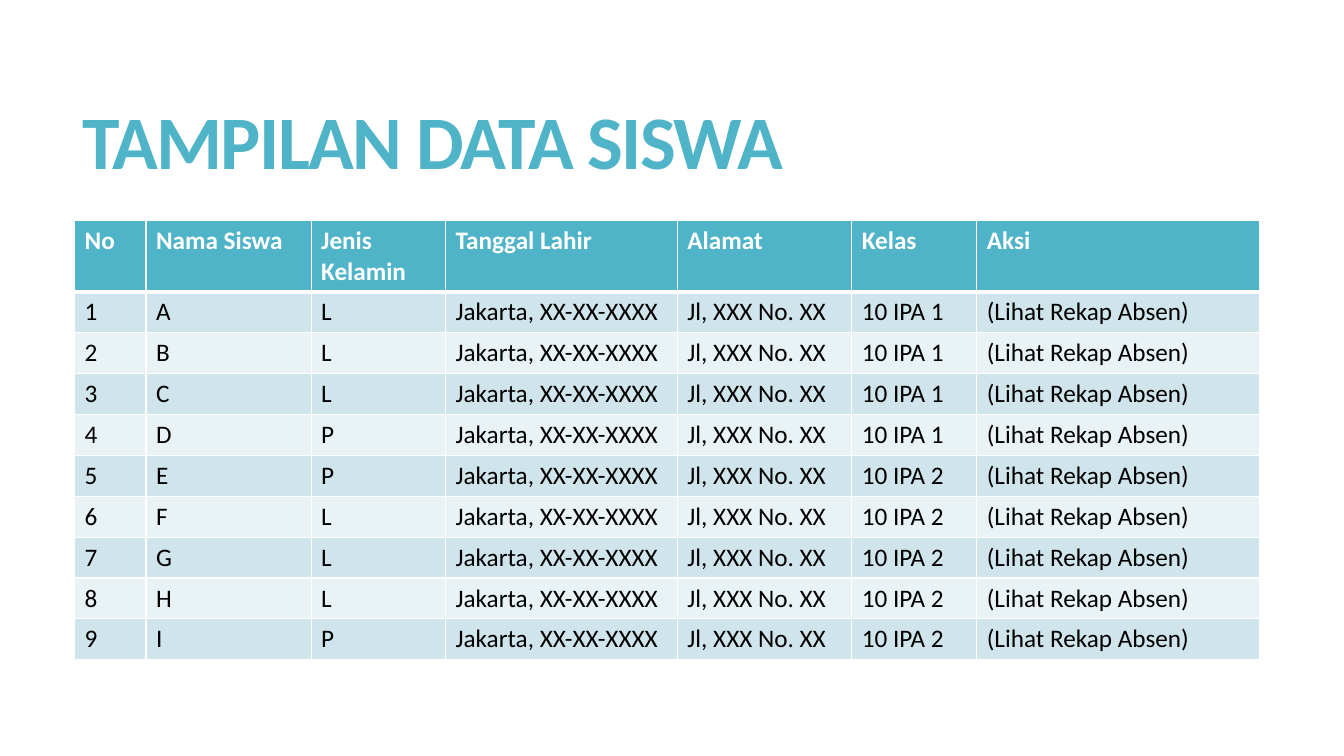
from lxml.etree import SubElement
from pptx import Presentation
from pptx.dml.color import RGBColor
from pptx.enum.text import MSO_ANCHOR, MSO_AUTO_SIZE, PP_ALIGN
from pptx.oxml.ns import qn
from pptx.util import Pt

TEAL = RGBColor(0x50, 0xB4, 0xC8)
PALE_TEAL = RGBColor(0xD0, 0xE5, 0xEB)
FAINT_TEAL = RGBColor(0xE9, 0xF2, 0xF5)
WHITE = RGBColor(0xFF, 0xFF, 0xFF)
BLACK = RGBColor(0x00, 0x00, 0x00)

HEADINGS = ["No", "Nama Siswa", "Jenis Kelamin", "Tanggal Lahir", "Alamat", "Kelas", "Aksi"]
COLUMN_WIDTHS = [51, 118, 96, 165.6, 124.6, 89.3, 202.3]
HEADING_HEIGHT = 50.4
STUDENT_HEIGHT = 29.2
STUDENTS = list(zip("ABCDEFGHI", "LLLPPLLLP", [1] * 4 + [2] * 5))


class SlideBuilder:
    font = "Calibri"
    title_size = 54
    table_size = 18

    def __init__(self, presentation):
        self.slide = presentation.slides.add_slide(presentation.slide_layouts[5])

    def style_runs(self, paragraph, size, color, bold):
        for run in paragraph.runs:
            run.font.name = self.font
            run.font.size = Pt(size)
            run.font.color.rgb = color
            run.font.bold = bold

    def title(self, wording, left, top, width, height):
        heading = self.slide.shapes.title
        heading.left, heading.top = Pt(left), Pt(top)
        heading.width, heading.height = Pt(width), Pt(height)
        frame = heading.text_frame
        frame.text = wording
        frame.word_wrap = True
        frame.auto_size = MSO_AUTO_SIZE.NONE
        frame.vertical_anchor = MSO_ANCHOR.MIDDLE
        paragraph = frame.paragraphs[0]
        paragraph.alignment = PP_ALIGN.LEFT
        paragraph.line_spacing = 0.85
        self.style_runs(paragraph, self.title_size, TEAL, True)
        paragraph.runs[0].font._element.set("spc", "-120")

    def borders(self, cell, top, bottom):
        """Draw white borders; must run before the cell is filled."""
        properties = cell._tc.get_or_add_tcPr()
        for side, weight in (("L", 1), ("R", 1), ("T", top), ("B", bottom)):
            line = SubElement(properties, qn(f"a:ln{side}"), w=str(Pt(weight)))
            fill = SubElement(line, qn("a:solidFill"))
            SubElement(fill, qn("a:srgbClr"), val=str(WHITE))

    def cell(self, cell, wording, row):
        is_heading = row == 0
        self.borders(cell, top=3 if row == 1 else 1, bottom=3 if is_heading else 1)
        cell.fill.solid()
        band = PALE_TEAL if row % 2 else FAINT_TEAL
        cell.fill.fore_color.rgb = TEAL if is_heading else band
        cell.text_frame.text = wording
        color = WHITE if is_heading else BLACK
        self.style_runs(cell.text_frame.paragraphs[0], self.table_size, color, is_heading)

    def table(self, records, left, top, widths, heights):
        table = self.slide.shapes.add_table(
            len(records), len(widths), Pt(left), Pt(top), Pt(sum(widths)), Pt(sum(heights))
        ).table
        for column, width in zip(table.columns, widths):
            column.width = Pt(width)
        for row, (record, height) in enumerate(zip(records, heights)):
            table.rows[row].height = Pt(height)
            for column, wording in enumerate(record):
                self.cell(table.cell(row, column), wording, row)


def main():
    presentation = Presentation()
    presentation.slide_width, presentation.slide_height = Pt(960), Pt(540)

    builder = SlideBuilder(presentation)
    builder.title("TAMPILAN DATA SISWA", 51.8, 39.6, 848.2, 130.3)

    records = [HEADINGS] + [
        [str(number), name, gender, "Jakarta, XX-XX-XXXX", "Jl, XXX No. XX",
         f"10 IPA {group}", "(Lihat Rekap Absen)"]
        for number, (name, gender, group) in enumerate(STUDENTS, start=1)
    ]
    heights = [HEADING_HEIGHT] + [STUDENT_HEIGHT] * len(STUDENTS)
    builder.table(records, 53.3, 157.3, COLUMN_WIDTHS, heights)

    presentation.save("out.pptx")


if __name__ == "__main__":
    main()
